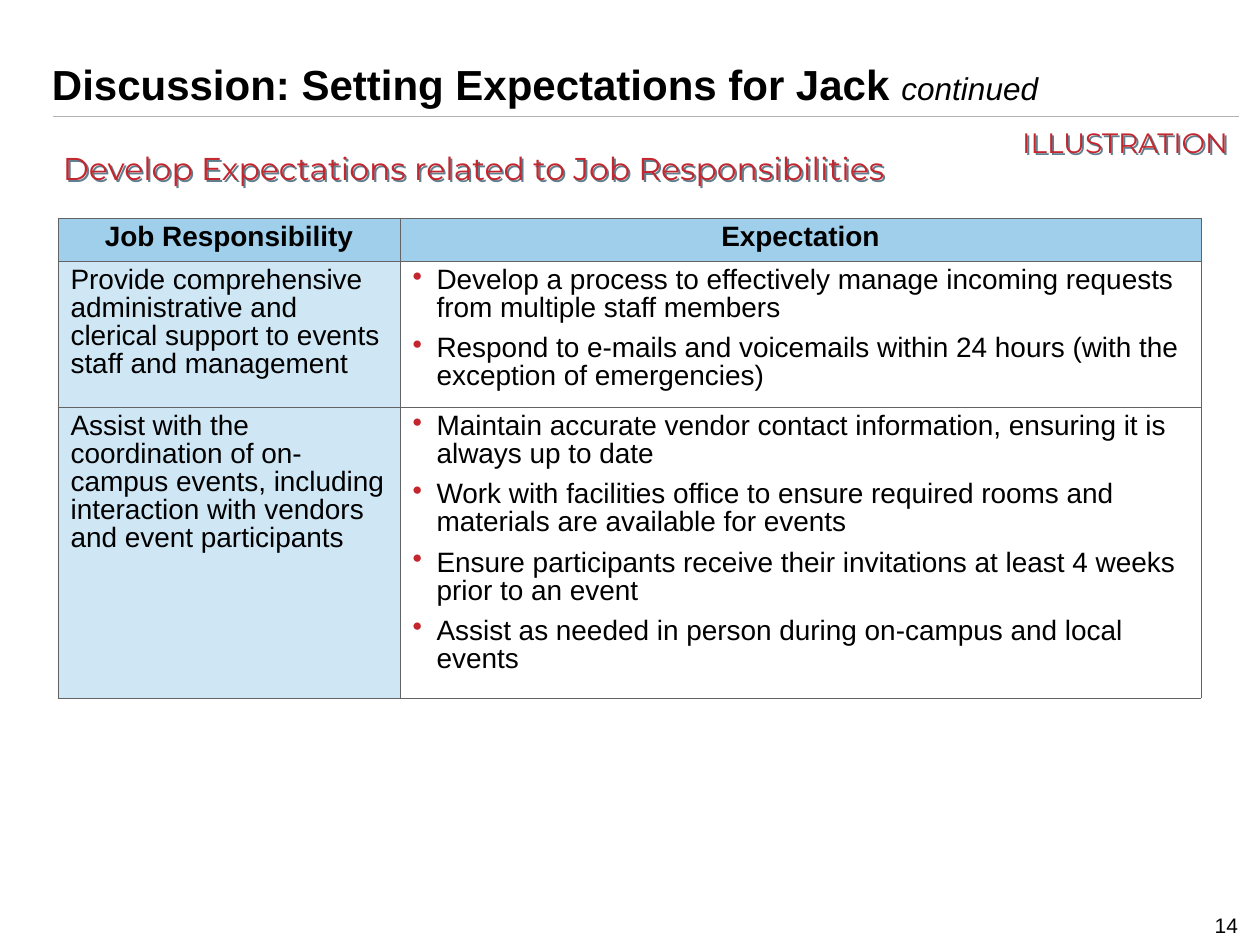
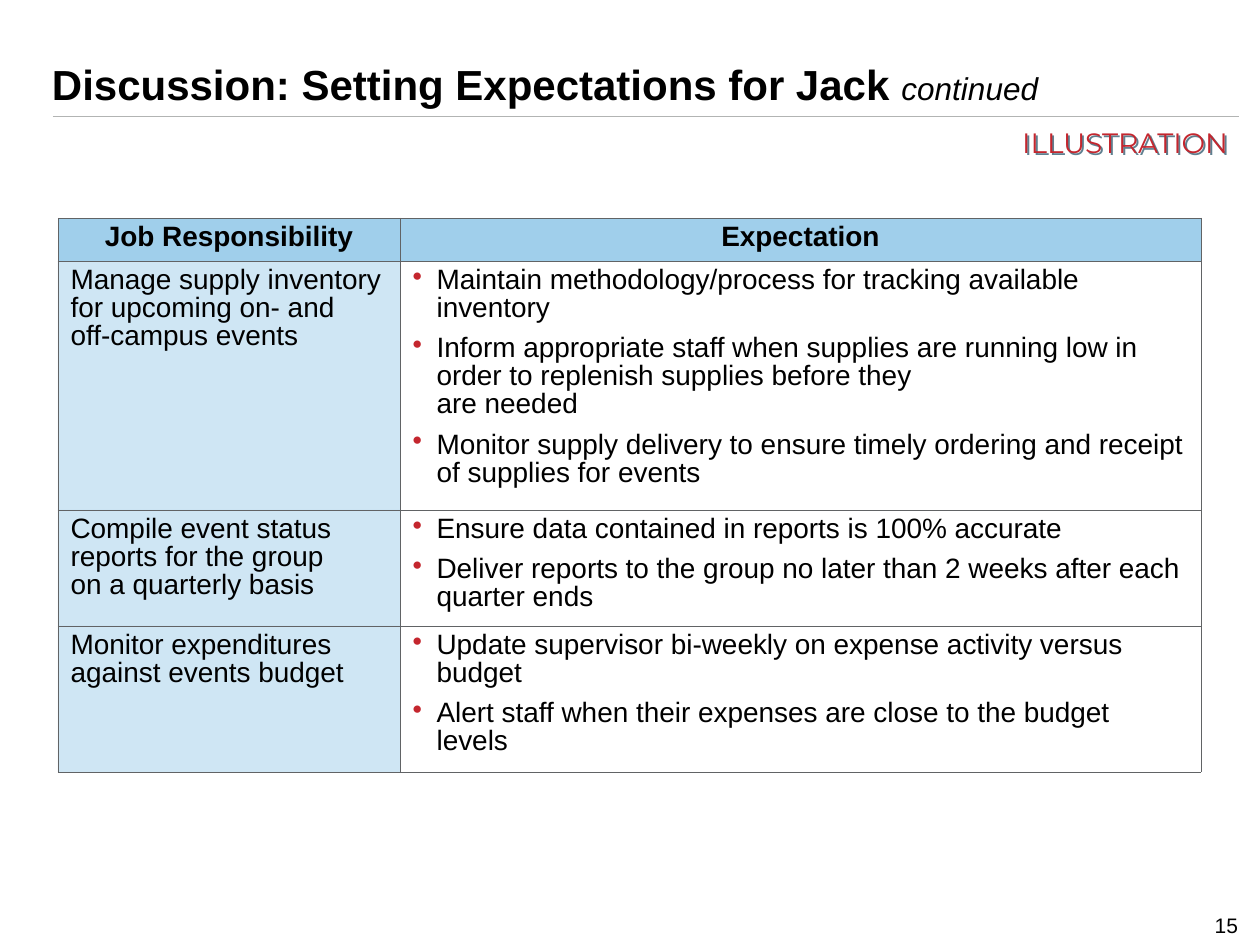
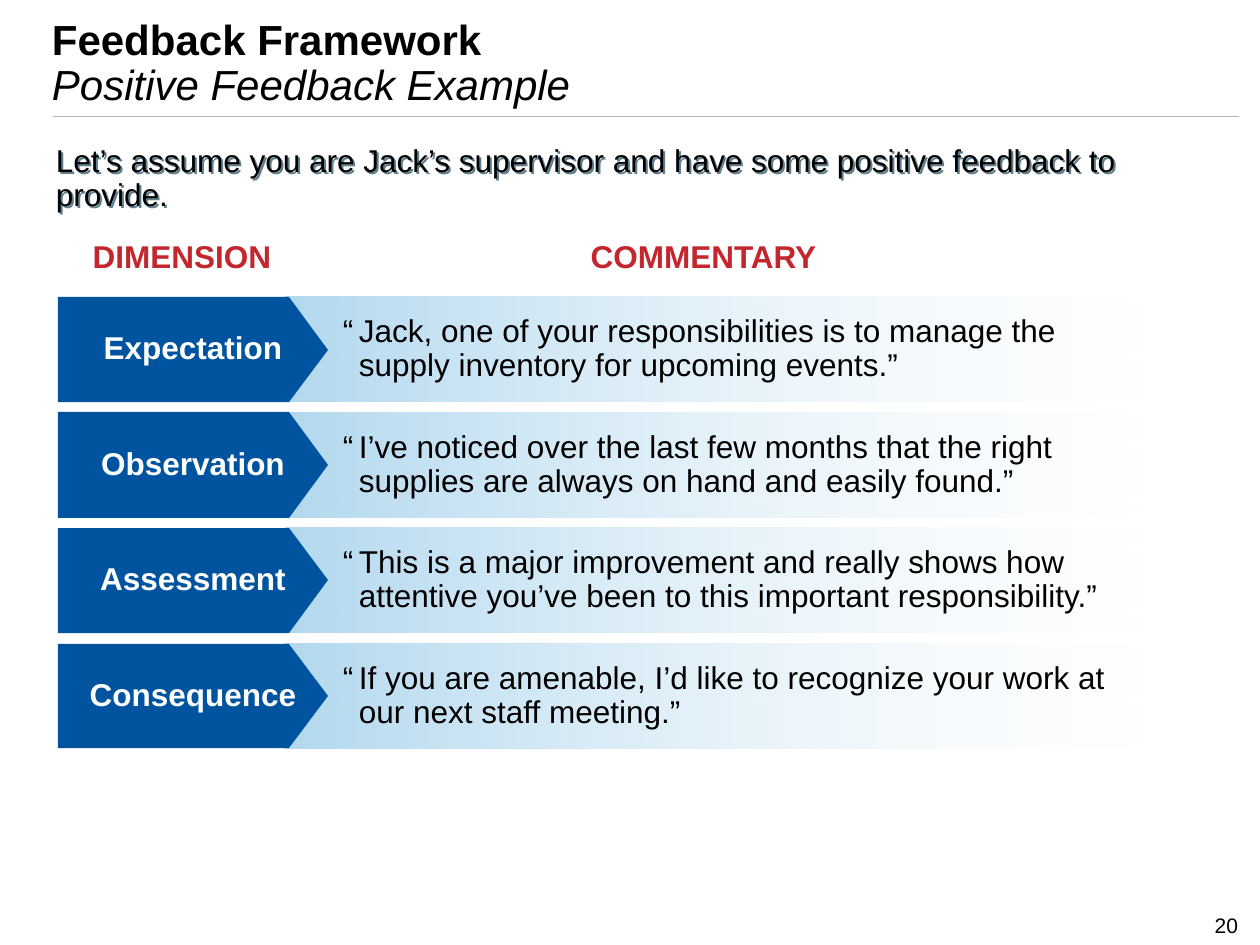
from copy import deepcopy

from lxml.etree import SubElement
from pptx import Presentation
from pptx.dml.color import RGBColor
from pptx.enum.shapes import MSO_CONNECTOR, MSO_SHAPE
from pptx.enum.text import MSO_ANCHOR, PP_ALIGN
from pptx.oxml.ns import qn
from pptx.util import Pt

SCALE = 914400 / 126
BLACK, WHITE, RED = "000000", "FFFFFF", "C4262E"
BLUE, SKY = "00549F", "A0CFEB"
RULE, BORDER, SHADOW = "B2B4B3", "616365", "5F7F8F"
LEFT, CENTER, RIGHT = PP_ALIGN.LEFT, PP_ALIGN.CENTER, PP_ALIGN.RIGHT

TABLE_LEFT, TABLE_TOP = 58, 218
COLUMNS = (342, 801)
HEADERS = ("Job Responsibility", "Expectation")
DISCUSSION = ("Discussion: Setting Expectations for Jack ", dict(size=24, bold=True))
CONTINUED = ("continued", dict(size=18, italic=True))

# Each row: height, responsibility, expectations
EVENT_ROWS = [
    (146, "Provide comprehensive administrative and clerical support to events staff and management", [
        "Develop a process to effectively manage incoming requests from multiple staff members",
        "Respond to e-mails and voicemails within 24 hours (with the exception of emergencies)"]),
    (291, "Assist with the coordination of on-campus events, including interaction with vendors "
          "and event participants", [
        "Maintain accurate vendor contact information, ensuring it is always up to date",
        "Work with facilities office to ensure required rooms and materials are available for events",
        "Ensure participants receive their invitations at least 4 weeks prior to an event",
        "Assist as needed in person during on-campus and local events"]),
]
SUPPLY_ROWS = [
    (249, "Manage supply inventory for upcoming on- and \noff-campus events", [
        "Maintain methodology/process for tracking available inventory",
        "Inform appropriate staff when supplies are running low in order to replenish supplies "
        "before they \nare needed",
        "Monitor supply delivery to ensure timely ordering and receipt of supplies for events"]),
    (116, "Compile event status reports for the group \non a quarterly basis", [
        "Ensure data contained in reports is 100% accurate",
        "Deliver reports to the group no later than 2 weeks after each quarter ends"]),
    (146, "Monitor expenditures against events budget", [
        "Update supervisor bi-weekly on expense activity versus budget",
        "Alert staff when their expenses are close to the budget levels"]),
]
FEEDBACK = [
    ("Expectation", "“\tJack, one of your responsibilities is to manage the supply inventory "
                    "for upcoming events.”"),
    ("Observation", "“\tI’ve noticed over the last few months that the right supplies are always "
                    "on hand and easily found.”"),
    ("Assessment", "“\tThis is a major improvement and really shows how attentive you’ve been "
                   "to this important responsibility.”"),
    ("Consequence", "“\tIf you are amenable, I’d like to recognize your work at our next "
                    "staff meeting.”"),
]


def px(n):
    return round(n * SCALE)


def rgb(color):
    return RGBColor.from_string(color)


def set_alpha(parent, *percents):
    """Set the opacity of the colours under parent, in order."""
    for clr, percent in zip(parent.iter(qn("a:srgbClr")), percents):
        SubElement(clr, qn("a:alpha"), val=str(percent * 1000))


def write(tf, text, size=18, color=BLACK, font="Arial", bold=False, italic=False,
          align=LEFT, before=0, spacing=0.9, hang=0, bullet=False, same=False):
    """Add text to a frame as a new paragraph, or to its last one if same."""
    p = tf.paragraphs[-1]
    if p.runs and not same:
        p = tf.add_paragraph()
    p.alignment, p.line_spacing, p.space_before = align, spacing, Pt(before)
    pPr = p._p.get_or_add_pPr()
    if hang:
        pPr.set("marL", str(px(hang)))
        pPr.set("indent", str(-px(hang)))
    if bullet:
        SubElement(SubElement(pPr, qn("a:buClr")), qn("a:srgbClr"), val=RED)
        SubElement(pPr, qn("a:buChar"), char="•")
    for i, line in enumerate(text.split("\n")):
        if i:
            p.add_line_break()
            p._p[-1].append(deepcopy(r._r.rPr))
        r = p.add_run()
        r.text = line
        r.font.size, r.font.name = Pt(size), font
        r.font.bold, r.font.italic = bold, italic
        r.font.color.rgb = rgb(color)


def frame(sp, anchor, margins=(13, 6, 13, 6)):
    tf = sp.text_frame
    tf.word_wrap, tf.vertical_anchor = True, anchor
    tf.margin_left, tf.margin_top, tf.margin_right, tf.margin_bottom = map(px, margins)
    return tf


def add_label(s, box, text, anchor=MSO_ANCHOR.TOP, shadow=False, **fmt):
    sp = s.shapes.add_textbox(*map(px, box))
    tf = frame(sp, anchor)
    if text:
        write(tf, text, **fmt)
    if shadow:
        effects = SubElement(sp._element.spPr, qn("a:effectLst"))
        outer = SubElement(effects, qn("a:outerShdw"), dist="20000", dir="2700000")
        SubElement(outer, qn("a:srgbClr"), val=SHADOW)
    return tf


def add_slide(prs, number, *title_runs):
    """Add a slide with its title, rule and page number."""
    s = prs.slides.add_slide(prs.slide_layouts[6])
    rule = s.shapes.add_connector(MSO_CONNECTOR.STRAIGHT, px(53), px(116), px(1239), px(116))
    rule.line.color.rgb, rule.line.width = rgb(RULE), Pt(0.25)
    SubElement(rule._element.spPr, qn("a:effectLst"))
    add_label(s, (989, 902, 262, 42), number, MSO_ANCHOR.BOTTOM, size=12, align=RIGHT, spacing=1)
    tf = add_label(s, (39, 11, 1197, 105), "", MSO_ANCHOR.BOTTOM)
    for text, fmt in title_runs:
        write(tf, text, same=True, **fmt)
    return s


def add_illustration_tag(s):
    add_label(s, (868, 123, 373, 43), "ILLUSTRATION", shadow=True, size=16, color=RED,
              font="Montserrat", align=RIGHT, before=10)


def format_cell(cell, fill=None, opacity=100):
    tcPr = cell._tc.get_or_add_tcPr()
    for side in ("a:lnL", "a:lnR", "a:lnT", "a:lnB"):
        ln = SubElement(tcPr, qn(side), w=str(Pt(0.23)))
        SubElement(SubElement(ln, qn("a:solidFill")), qn("a:srgbClr"), val=BORDER)
    if fill is None:
        cell.fill.background()
        return
    cell.fill.solid()
    cell.fill.fore_color.rgb = rgb(fill)
    if opacity < 100:
        set_alpha(tcPr.find(qn("a:solidFill")), opacity)


def add_expectations_table(s, rows):
    heights = [43] + [height for height, _, _ in rows]
    table = s.shapes.add_table(len(heights), len(COLUMNS), px(TABLE_LEFT), px(TABLE_TOP),
                               px(sum(COLUMNS)), px(sum(heights))).table
    for column, width in zip(table.columns, COLUMNS):
        column.width = px(width)
    for row, height in zip(table.rows, heights):
        row.height = px(height)
    for cell, header in zip(table.rows[0].cells, HEADERS):
        format_cell(cell, SKY)
        write(cell.text_frame, header, size=16, bold=True, align=CENTER, before=7)
    for i, (_, responsibility, expectations) in enumerate(rows, 1):
        duty, goals = table.rows[i].cells
        format_cell(duty, SKY, 50)
        write(duty.text_frame, responsibility, size=16, before=7)
        format_cell(goals)
        for text in expectations:
            write(goals.text_frame, text, size=16, before=7, hang=24, bullet=True)


def add_commentary(s, top, text):
    sp = s.shapes.add_shape(MSO_SHAPE.RECTANGLE, px(286), px(top), px(859), px(105))
    sp.shadow.inherit = False
    sp.line.fill.background()
    sp.fill.gradient()
    sp.fill.gradient_angle = 0
    for stop, color in zip(sp.fill.gradient_stops, (SKY, WHITE)):
        stop.color.rgb = rgb(color)
    set_alpha(sp._element.spPr, 80, 30)
    write(frame(sp, MSO_ANCHOR.MIDDLE, (57, 6, 32, 6)), text, before=11.2, hang=16)


def add_dimension_arrow(s, top, text):
    builder = s.shapes.build_freeform(58, top, scale=SCALE)
    builder.add_line_segments([(289, top), (328, top + 52.5), (289, top + 105), (58, top + 105)])
    sp = builder.convert_to_shape()
    sp.shadow.inherit = False
    sp.fill.solid()
    sp.fill.fore_color.rgb = rgb(BLUE)
    sp.line.fill.background()
    write(frame(sp, MSO_ANCHOR.MIDDLE, (13, 13, 13, 13)), text, color=WHITE, bold=True,
          align=CENTER, before=11.2)


def main():
    prs = Presentation()
    prs.slide_width, prs.slide_height = px(1260), px(945)

    s = add_slide(prs, "14", DISCUSSION, CONTINUED)
    add_label(s, (50, 147, 1159, 47), "Develop Expectations related to Job Responsibilities",
              shadow=True, color=RED, font="Montserrat", before=11.2)
    add_expectations_table(s, EVENT_ROWS)
    add_illustration_tag(s)

    s = add_slide(prs, "15", DISCUSSION, CONTINUED)
    add_expectations_table(s, SUPPLY_ROWS)
    add_illustration_tag(s)

    s = add_slide(prs, "20", ("Feedback Framework\n", dict(size=24, bold=True)),
                  ("Positive Feedback Example", dict(size=24, italic=True)))
    add_label(s, (43, 139, 1183, 81), "Let’s assume you are Jack’s supervisor and have some "
              "positive feedback to provide.", shadow=True, before=11.2)
    for heading, left, width in (("DIMENSION", 63, 238), ("COMMENTARY", 369, 669)):
        add_label(s, (left, 234, width, 47), heading, MSO_ANCHOR.BOTTOM, color=RED, bold=True,
                  align=CENTER, before=14.6)
    for i, (dimension, commentary) in enumerate(FEEDBACK):
        top = 297 + 115.5 * i
        add_commentary(s, top, commentary)
        add_dimension_arrow(s, top, dimension)

    prs.save("out.pptx")


if __name__ == "__main__":
    main()
